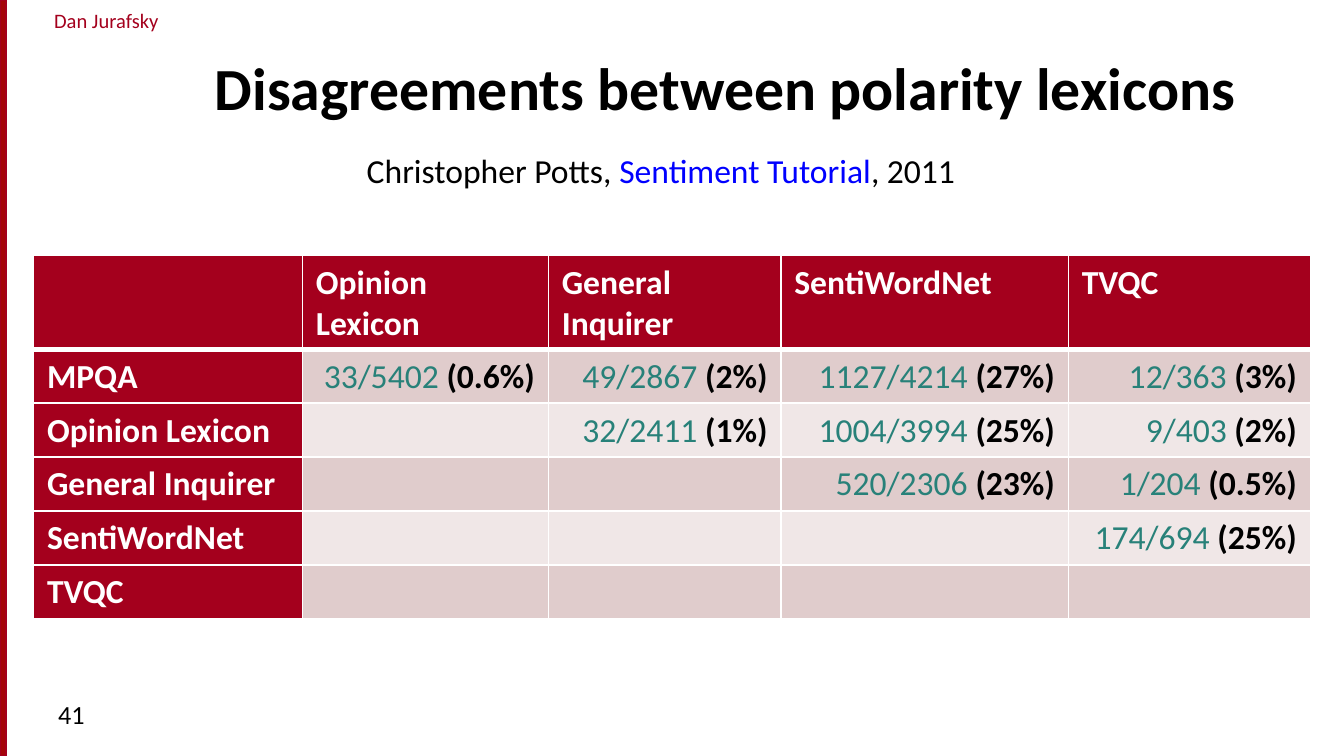
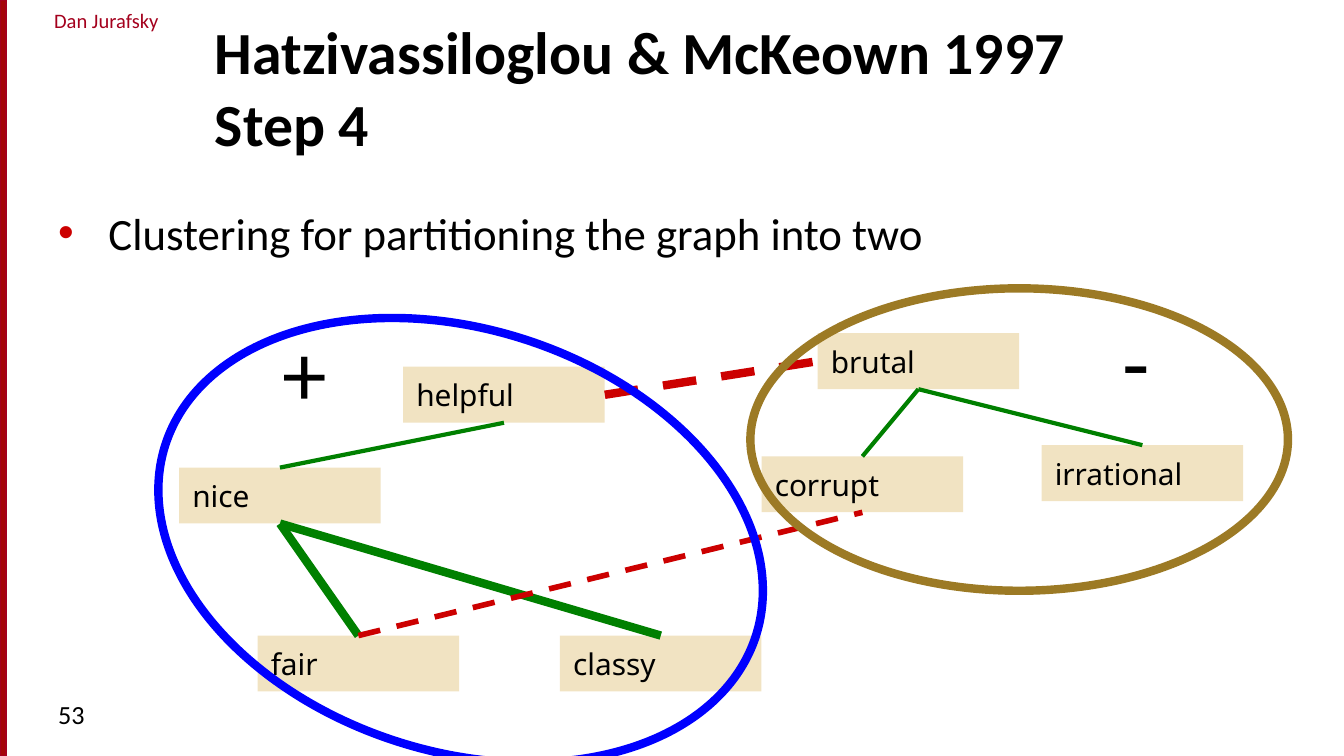
from lxml.etree import SubElement
from pptx import Presentation
from pptx.dml.color import RGBColor
from pptx.enum.dml import MSO_LINE
from pptx.enum.shapes import MSO_CONNECTOR, MSO_SHAPE
from pptx.enum.text import MSO_ANCHOR, PP_ALIGN
from pptx.oxml.ns import qn
from pptx.util import Pt

WIDE, HIGH = 720, 405
RED, BLACK, WHITE = "A4001D", "000000", "FFFFFF"
BLUE, GOLD, TEAL, SAND = "0000FF", "9C7A25", "288179", "F1E3C2"
GREEN, ALERT = "008000", "CC0000"
BANDS = ["E0CCCC", "F0E7E7"]
SANS, NOTO = "Calibri", "Noto Sans"
TOP, LEFT, BOTTOM, RIGHT = range(4)


def tint(code):
    return RGBColor.from_string(code)


# Text
def write(frame, text, size=18, color=BLACK, bold=False, font=SANS,
          align=PP_ALIGN.LEFT):
    """Append text to the first paragraph of the frame."""
    para = frame.paragraphs[0]
    para.alignment = align
    for i, line in enumerate(text.split("\n")):
        if i:
            para.add_line_break()
        run = para.add_run()
        run.text = line
        run.font.size = Pt(size)
        run.font.name = font
        run.font.bold = bold
        run.font.color.rgb = tint(color)
    return para


def label(slide, box, text="", anchor=MSO_ANCHOR.TOP, side=7.2, **form):
    frame = slide.shapes.add_textbox(*map(Pt, box)).text_frame
    frame.word_wrap = True
    frame.vertical_anchor = anchor
    frame.margin_left = frame.margin_right = Pt(side)
    if text:
        write(frame, text, **form)
    return frame


def bullet(slide, box, text):
    para = write(label(slide, box), text, size=24)
    props = para._p.get_or_add_pPr()
    props.set("marL", str(Pt(27)))
    props.set("indent", str(-Pt(27)))
    color = SubElement(props, qn("a:buClr"))
    SubElement(color, qn("a:srgbClr"), val=ALERT)
    SubElement(props, qn("a:buFont"), typeface="Arial")
    SubElement(props, qn("a:buChar"), char="•")


# Shapes
def shape(slide, kind, box, fill=None, line=None, width=0.75):
    item = slide.shapes.add_shape(kind, *map(Pt, box))
    item.shadow.inherit = False
    if fill:
        item.fill.solid()
        item.fill.fore_color.rgb = tint(fill)
    else:
        item.fill.background()
    if line:
        item.line.color.rgb = tint(line)
        item.line.width = Pt(width)
    else:
        item.line.fill.background()
    return item


def link(slide, start, end, color, width):
    """Join two (shape, side) pairs; red links are dashed."""
    wire = slide.shapes.add_connector(MSO_CONNECTOR.STRAIGHT, 0, 0, 0, 0)
    wire.begin_connect(*start)
    wire.end_connect(*end)
    wire.line.color.rgb = tint(color)
    wire.line.width = Pt(width)
    if color == ALERT:
        wire.line.dash_style = MSO_LINE.DASH
    SubElement(wire._element.spPr, qn("a:effectLst"))


# Parts that every slide shares
def base(deck, title, box, page):
    slide = deck.slides.add_slide(deck.slide_layouts[6])
    label(slide, (6, 0.5, 102, 20), "Dan Jurafsky", side=0, size=11,
          color=RED, align=PP_ALIGN.CENTER)
    shape(slide, MSO_SHAPE.RECTANGLE, (0, 0, 3.24, HIGH), "A40508", RED)
    label(slide, box, title, anchor=MSO_ANCHOR.BOTTOM, size=32, bold=True)
    label(slide, (24, 370.8, 156, 27), page, size=14)
    return slide


# Table of lexicon pairs
def edge(cell, widths):
    props = cell._tc.get_or_add_tcPr()
    for i, (side, width) in enumerate(zip("LRTB", widths)):
        line = SubElement(props, qn(f"a:ln{side}"), w=str(Pt(width)))
        fill = SubElement(line, qn("a:solidFill"))
        SubElement(fill, qn("a:srgbClr"), val=WHITE)
        props.insert(i, line)


def grid(slide, box, heads, names, rows, widths, first):
    count = len(names) + 1
    table = slide.shapes.add_table(count, len(widths), *map(Pt, box)).table
    for col, width in zip(table.columns, widths):
        col.width = Pt(width)
    rest = (box[3] - first) / len(names)
    for r, row in enumerate([[""] + heads] + [[n] + v for n, v in zip(names, rows)]):
        table.rows[r].height = Pt(rest if r else first)
        # Values fill the upper triangle, so they sit to the right
        gap = len(widths) - len(row)
        row = row[:1] + [""] * gap + row[1:]
        for c, text in enumerate(row):
            cell = table.cell(r, c)
            head = r == 0 or c == 0
            cell.fill.solid()
            cell.fill.fore_color.rgb = tint(RED if head else BANDS[(r - 1) % 2])
            edge(cell, (0.96, 0.96, 3 if r == 1 else 0.96, 0.96 if r else 3))
            if not text:
                continue
            if head:
                write(cell.text_frame, text, color=WHITE, bold=True)
            else:
                ratio, share = text.split(" ")
                write(cell.text_frame, ratio + " ", color=TEAL)
                write(cell.text_frame, share, bold=True, align=PP_ALIGN.RIGHT)


# Word graph with two clusters
def graph(slide, box):
    left, top = box[:2]

    def at(x, y, w, h):
        return left + x, top + y, w, h

    spots = {"classy": (228, 192), "nice": (24, 102), "helpful": (144, 48),
             "fair": (66, 192), "brutal": (366, 30),
             "irrational": (486, 90), "corrupt": (336, 96)}
    nodes = {}
    for word, (x, y) in spots.items():
        node = shape(slide, MSO_SHAPE.RECTANGLE, at(x, y, 108, 30), SAND)
        node.text_frame.vertical_anchor = MSO_ANCHOR.MIDDLE
        write(node.text_frame, word, size=16, font=NOTO)
        nodes[word] = node

    links = [("brutal", BOTTOM, "corrupt", TOP, GREEN, 2.25),
             ("nice", BOTTOM, "classy", TOP, GREEN, 4.5),
             ("nice", BOTTOM, "fair", TOP, GREEN, 4.5),
             ("fair", TOP, "corrupt", BOTTOM, ALERT, 3),
             ("irrational", TOP, "brutal", BOTTOM, GREEN, 2.25),
             ("helpful", BOTTOM, "nice", TOP, GREEN, 2.25),
             ("helpful", RIGHT, "brutal", LEFT, ALERT, 4.5)]
    for a, out, b, into, color, width in links:
        link(slide, (nodes[a], out), (nodes[b], into), color, width)

    # Cluster rings and their signs
    rings = [((8.5, 28, 332.5, 226), BLUE, 18), ((330, 6, 288, 162), GOLD, 0)]
    for ring, color, turn in rings:
        oval = shape(slide, MSO_SHAPE.OVAL, at(*ring), line=color, width=4.5)
        oval.rotation = turn
    for sign, spot in (("+", (72, 18, 38, 65)), ("-", (522, 12, 29, 65))):
        label(slide, at(*spot), sign, size=48)


def lexicons(deck):
    slide = base(deck, "Disagreements between polarity lexicons",
                 (108, 11, 606, 58), "41")
    names = ["MPQA", "Opinion Lexicon", "General Inquirer", "SentiWordNet", "TVQC"]
    rows = [["33/5402 (0.6%)", "49/2867 (2%)", "1127/4214 (27%)", "12/363 (3%)"],
            ["32/2411 (1%)", "1004/3994 (25%)", "9/403 (2%)"],
            ["520/2306 (23%)", "1/204 (0.5%)"],
            ["174/694 (25%)"],
            []]
    grid(slide, (18, 136.8, 684, 175), names[1:], names, rows,
         (144, 131.8, 124.6, 154, 129.6), 43.2)
    frame = label(slide, (189.4, 76.6, 333.4, 29))
    write(frame, "Christopher Potts, ")
    write(frame, "Sentiment Tutorial", color=BLUE)
    write(frame, ", 2011")


def clusters(deck):
    slide = base(deck, "Hatzivassiloglou & McKeown 1997\nStep 4",
                 (108, 30, 588, 58.5), "53")
    bullet(slide, (24, 106.5, 672, 263),
           "Clustering for partitioning the graph into two")
    graph(slide, (72, 148.5, 624, 256.5))


def main():
    deck = Presentation()
    deck.slide_width, deck.slide_height = Pt(WIDE), Pt(HIGH)
    lexicons(deck)
    clusters(deck)
    deck.save("out.pptx")


if __name__ == "__main__":
    main()
